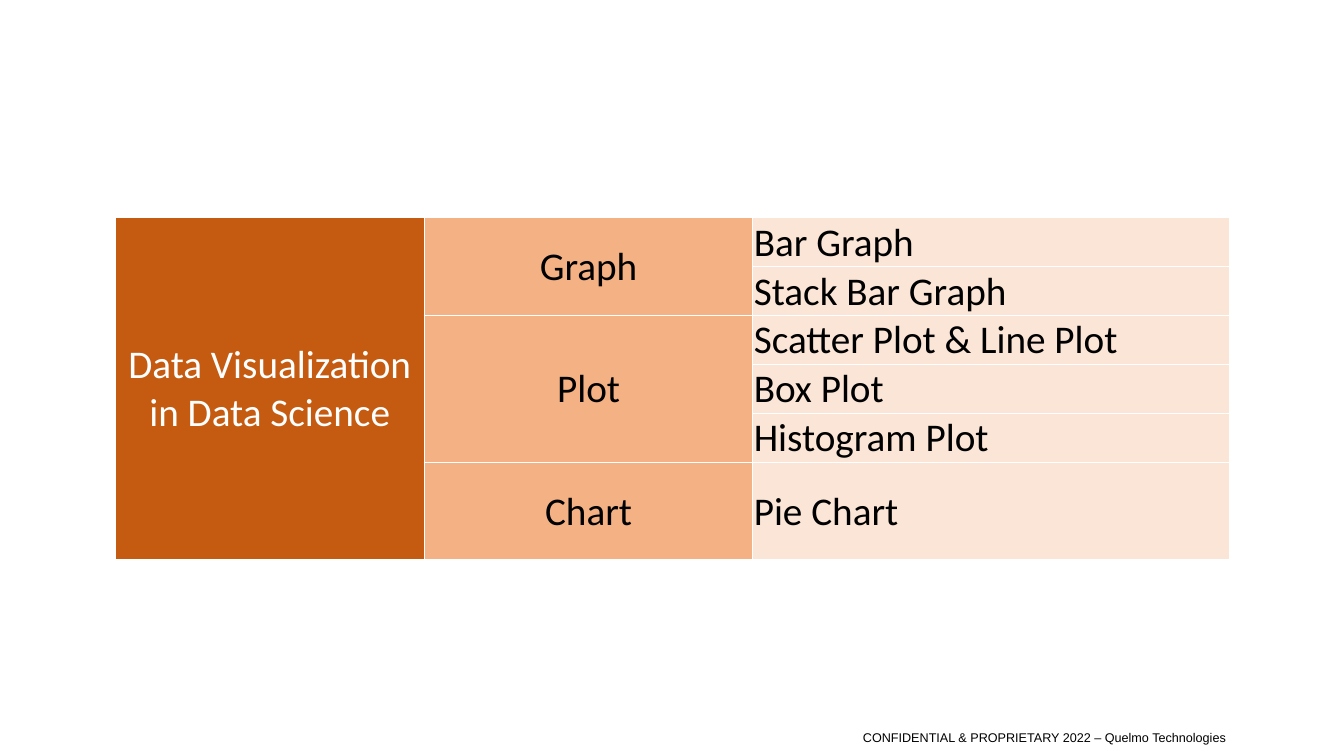
import pptx
import pptx.util
import pptx.oxml
import pptx.oxml.ns
import pptx.dml.color
import pptx.enum.text
from dataclasses import dataclass

Pt = pptx.util.Pt
Align = pptx.enum.text.PP_ALIGN
Middle = pptx.enum.text.MSO_ANCHOR.MIDDLE

# Content
TOPIC = "Data Visualization in Data Science"
GROUPS = [
    ("Graph", ["Bar Graph", "Stack Bar Graph"]),
    ("Plot", ["Scatter Plot & Line Plot", "Box Plot", "Histogram Plot"]),
    ("Chart", ["Pie Chart"]),
]
FOOTER = "CONFIDENTIAL & PROPRIETARY 2022 – Quelmo Technologies"


@dataclass(frozen=True)
class Theme:
    fills: tuple = ("C55A11", "F4B183", "FBE5D6")
    inks: tuple = ("FFFFFF", "000000", "000000")
    aligns: tuple = (Align.CENTER, Align.CENTER, Align.LEFT)
    rule: str = "FFFFFF"
    font: str = "Calibri"
    size: float = 28
    foot_font: str = "Arial"
    foot_size: float = 9


THEME = Theme()

# Layout in points
SLIDE = (960, 540)
TABLE = (82.1, 155.5)
COLS = (221, 234.7, 340.6)
ROW, LAST = 35, 69.5
FOOT = (599.8, 518.4, 292.3, 17.3)


def color(code):
    return pptx.dml.color.RGBColor.from_string(code)


def write(frame, text, font=THEME.font, size=THEME.size, ink="000000",
          align=Align.LEFT):
    frame.word_wrap = True
    para = frame.paragraphs[0]
    para.alignment = align
    run = para.add_run()
    run.text = text
    run.font.name = font
    run.font.size = Pt(size)
    run.font.color.rgb = color(ink)


def style(cell, fill):
    cell.fill.solid()
    cell.fill.fore_color.rgb = color(fill)
    cell.vertical_anchor = Middle
    cell.margin_left = cell.margin_right = cell.margin_top = Pt(0.7)
    cell.margin_bottom = 0
    props = cell._tc.get_or_add_tcPr()
    for spot, side in enumerate("LRTB"):
        props.insert(spot, pptx.oxml.parse_xml(
            f'<a:ln{side} {pptx.oxml.ns.nsdecls("a")} w="{Pt(1)}"><a:solidFill>'
            f'<a:srgbClr val="{THEME.rule}"/></a:solidFill></a:ln{side}>'))


def put(table, row, col, text, span=1):
    cell = table.cell(row, col)
    if span > 1:
        cell.merge(table.cell(row + span - 1, col))
    write(cell.text_frame, text, ink=THEME.inks[col], align=THEME.aligns[col])


def add_tree(slide):
    count = sum(len(items) for _, items in GROUPS)
    heights = [ROW] * (count - 1) + [LAST]
    table = slide.shapes.add_table(
        count, len(COLS), *map(Pt, TABLE), Pt(sum(COLS)), Pt(sum(heights))).table
    table.first_row = table.horz_banding = False
    for col, width in zip(table.columns, COLS):
        col.width = Pt(width)
    for row, height in zip(table.rows, heights):
        row.height = Pt(height)
        for cell, fill in zip(row.cells, THEME.fills):
            style(cell, fill)

    # Each group spans as many rows as it has items
    put(table, 0, 0, TOPIC, count)
    top = 0
    for name, items in GROUPS:
        put(table, top, 1, name, len(items))
        for step, item in enumerate(items):
            put(table, top + step, 2, item)
        top += len(items)


def add_footer(slide):
    frame = slide.shapes.add_textbox(*map(Pt, FOOT)).text_frame
    frame.vertical_anchor = Middle
    write(frame, FOOTER, font=THEME.foot_font, size=THEME.foot_size,
          align=Align.CENTER)


def main():
    deck = pptx.Presentation()
    deck.slide_width, deck.slide_height = map(Pt, SLIDE)
    slide = deck.slides.add_slide(deck.slide_layouts[6])
    add_footer(slide)
    add_tree(slide)
    deck.save("out.pptx")


if __name__ == "__main__":
    main()
